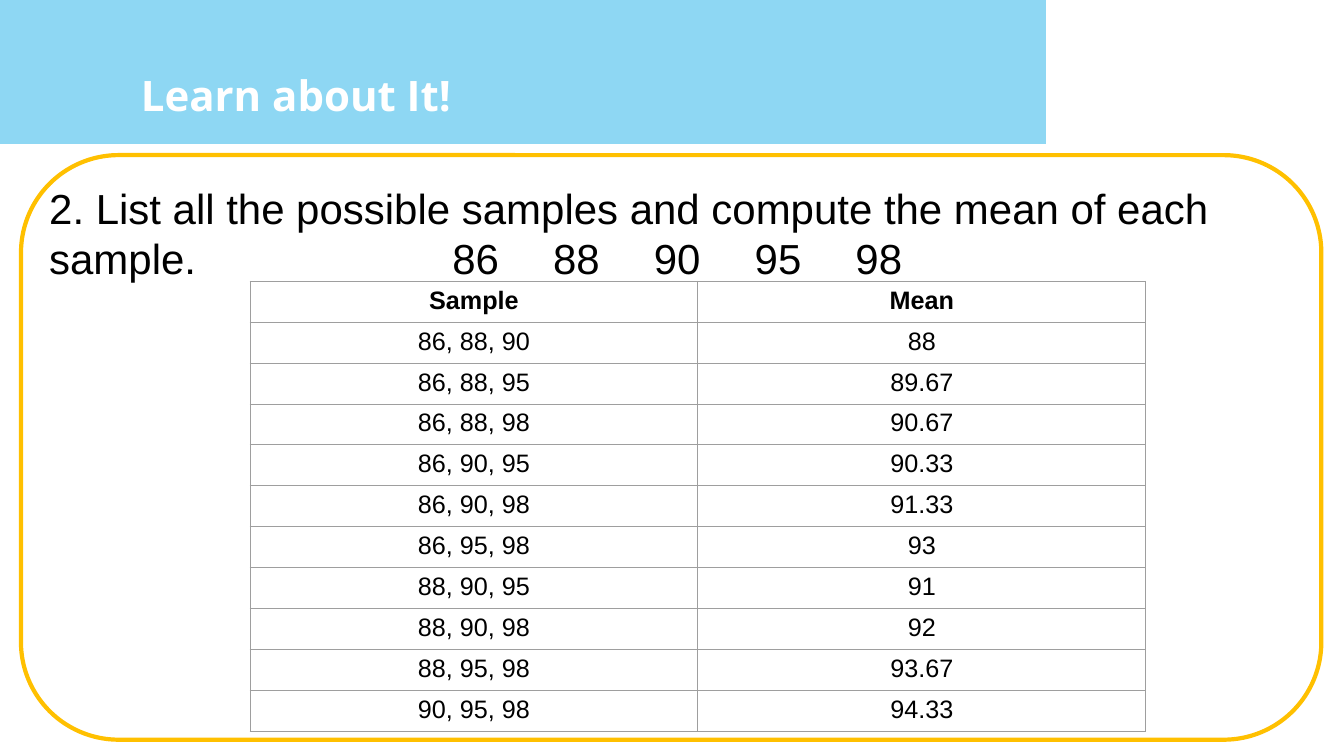
"""Build the slide that lists every sample of three scores with its mean."""
from lxml import etree
from pptx import Presentation
from pptx.dml.color import RGBColor
from pptx.enum.shapes import MSO_SHAPE
from pptx.enum.text import MSO_ANCHOR, MSO_AUTO_SIZE, PP_ALIGN
from pptx.oxml.ns import qn
from pptx.util import Cm, Pt

LEFT, CENTER = PP_ALIGN.LEFT, PP_ALIGN.CENTER
TOP, NO_FIT = MSO_ANCHOR.TOP, MSO_AUTO_SIZE.NONE
RECT, ROUNDED = MSO_SHAPE.RECTANGLE, MSO_SHAPE.ROUNDED_RECTANGLE

TITLE = "Learn about It!"
TASK = "2. List all the possible samples and compute the mean of each sample."
SCORES = ["86", "88", "90", "95", "98"]
SAMPLE_MEANS = [
    ("Sample", "Mean"),
    ("86, 88, 90", "88"),
    ("86, 88, 95", "89.67"),
    ("86, 88, 98", "90.67"),
    ("86, 90, 95", "90.33"),
    ("86, 90, 98", "91.33"),
    ("86, 95, 98", "93"),
    ("88, 90, 95", "91"),
    ("88, 90, 98", "92"),
    ("88, 95, 98", "93.67"),
    ("90, 95, 98", "94.33"),
]

SKY, GOLD, GREY, WHITE, BLACK = "8ED7F3", "FFC000", "9E9E9E", "FFFFFF", "000000"
INSET = Cm(0.25)
SCORE_START, SCORE_STEP = Cm(10.16), Cm(2.54)
ROW_HEIGHT, COLUMN_WIDTH = Cm(1.03), Cm(11.29)


def color(value):
    return RGBColor.from_string(value)


def write(frame, text, size=30, font="Arial", ink=BLACK, bold=False, align=LEFT):
    paragraph = frame.paragraphs[0]
    paragraph.alignment = align
    run = paragraph.add_run()
    run.text = text
    run.font.size, run.font.name, run.font.bold = Pt(size), font, bold
    run.font.color.rgb = color(ink)
    return paragraph


def prepare(frame):
    frame.word_wrap, frame.auto_size, frame.vertical_anchor = True, NO_FIT, TOP
    frame.margin_left = frame.margin_right = INSET
    frame.margin_top = frame.margin_bottom = INSET
    return frame


def add_block(kind, left, top, width, height, fill=None, line=None, weight=0):
    block = slide.shapes.add_shape(kind, Cm(left), Cm(top), Cm(width), Cm(height))
    block.shadow.inherit = False
    if fill:
        block.fill.solid()
        block.fill.fore_color.rgb = color(fill)
    else:
        block.fill.background()
    if line:
        block.line.color.rgb = color(line)
        block.line.width = Pt(weight)
    else:
        block.line.fill.background()
    return block


def add_borders(cell):
    properties = cell._tc.get_or_add_tcPr()
    for position, side in enumerate(("a:lnL", "a:lnR", "a:lnT", "a:lnB")):
        border = etree.Element(qn(side), w=str(Pt(0.75)))
        fill = etree.SubElement(border, qn("a:solidFill"))
        etree.SubElement(fill, qn("a:srgbClr"), val=GREY)
        properties.insert(position, border)


deck = Presentation()
deck.slide_width, deck.slide_height = Cm(33.87), Cm(19.05)
slide = deck.slides.add_slide(deck.slide_layouts[5])

banner = add_block(RECT, 0, 0, 33.87, 3.63, fill=SKY)
title = slide.shapes.title
banner._element.addnext(title._element)
title.left, title.top, title.width, title.height = Cm(3.3), Cm(1.5), Cm(14.4), Cm(2.41)
write(prepare(title.text_frame), TITLE, font="Open Sans", ink=WHITE, bold=True)

panel = add_block(ROUNDED, 0.53, 3.91, 32.77, 14.73, line=GOLD, weight=3)
panel.adjustments[0] = 0.167

task_box = slide.shapes.add_textbox(Cm(0.99), Cm(4.34), Cm(32.31), Cm(14.3))
task = write(prepare(task_box.text_frame), "\t".join([TASK, *SCORES]))
stops = etree.SubElement(task._p.get_or_add_pPr(), qn("a:tabLst"))
for index in range(len(SCORES)):
    etree.SubElement(stops, qn("a:tab"), pos=str(SCORE_START + index * SCORE_STEP), algn="l")

add_block(RECT, 26.39, 0, 7.48, 3.71, fill=WHITE, line=WHITE, weight=2)

row_count, column_count = len(SAMPLE_MEANS), len(SAMPLE_MEANS[0])
means = slide.shapes.add_table(
    row_count, column_count, Cm(6.3), Cm(7.09),
    COLUMN_WIDTH * column_count, ROW_HEIGHT * row_count).table
for column in means.columns:
    column.width = COLUMN_WIDTH
for row_index, entries in enumerate(SAMPLE_MEANS):
    means.rows[row_index].height = ROW_HEIGHT
    for column_index, entry in enumerate(entries):
        cell = means.cell(row_index, column_index)
        cell.fill.background()
        add_borders(cell)
        write(cell.text_frame, entry, size=18, bold=row_index == 0, align=CENTER)

deck.save("out.pptx")
